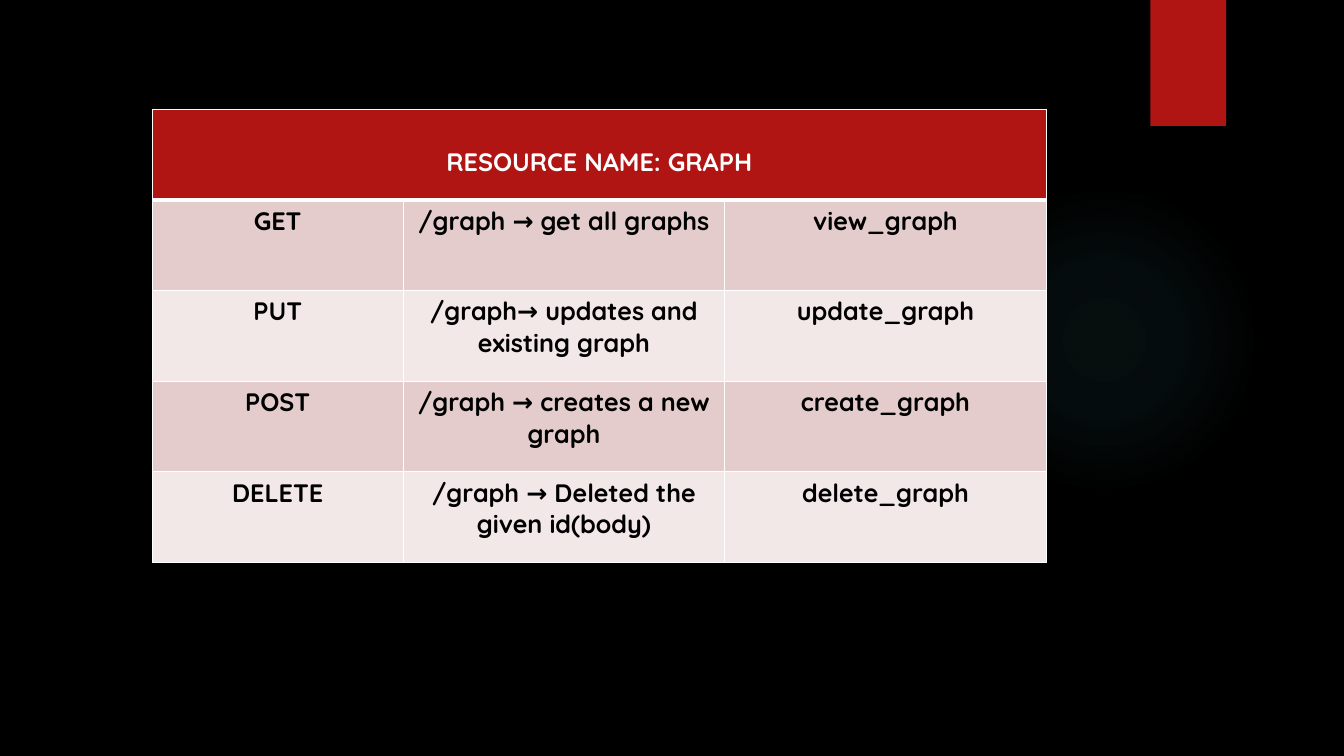
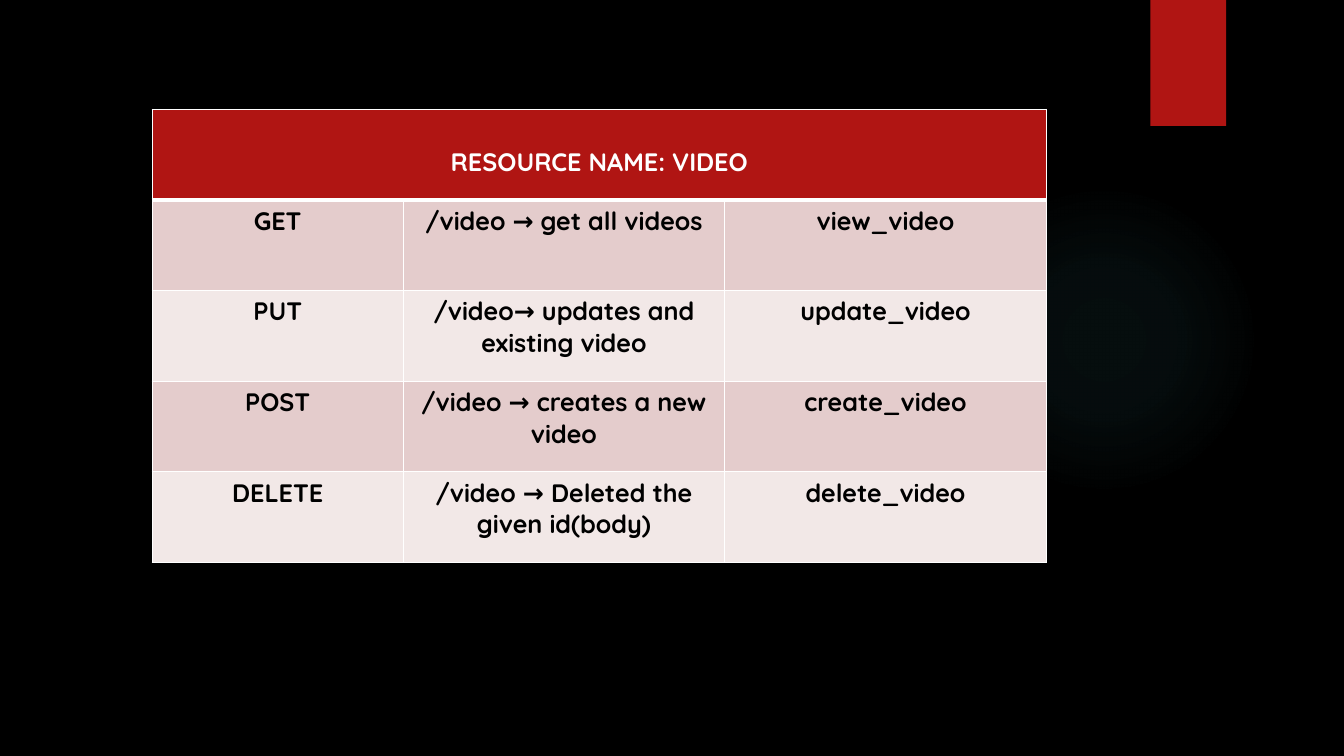
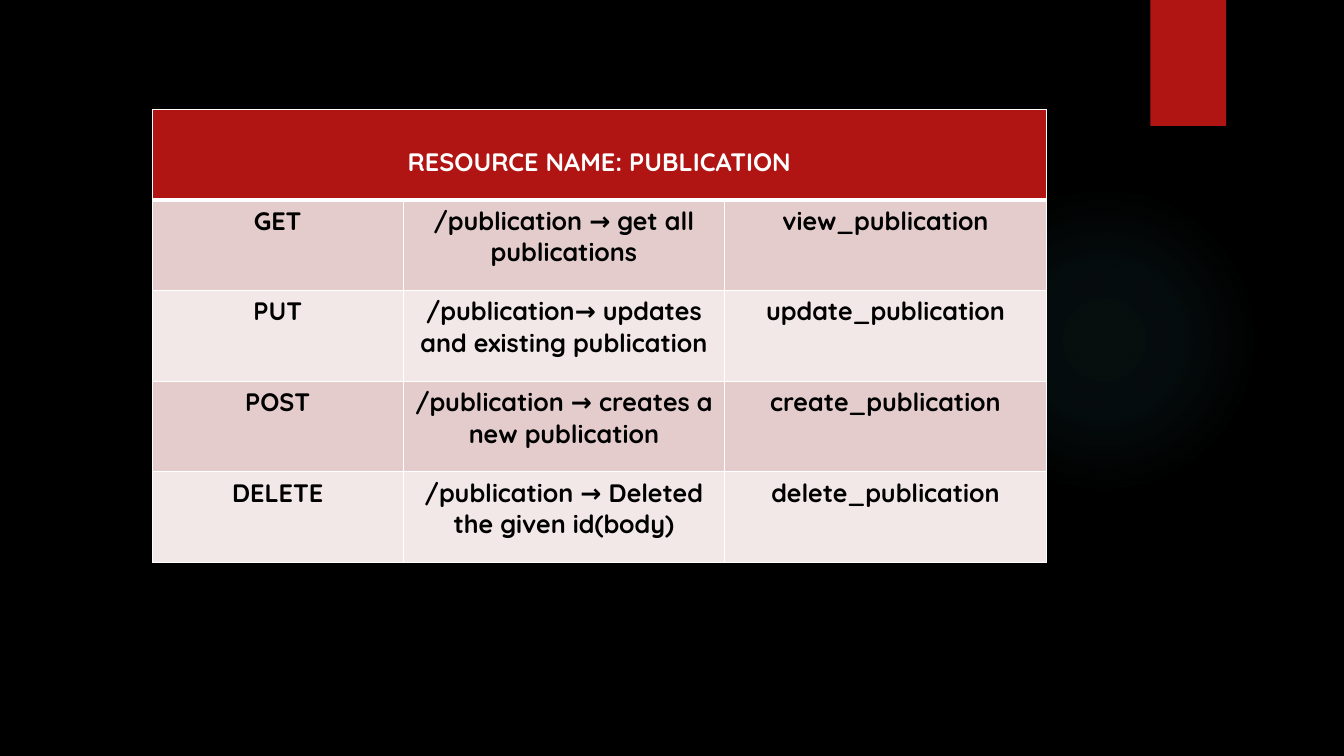
from pptx import Presentation
from pptx.dml.color import RGBColor
from pptx.enum.shapes import MSO_SHAPE
from pptx.enum.text import PP_ALIGN
from pptx.oxml import parse_xml
from pptx.oxml.ns import nsdecls
from pptx.util import Pt

RED = RGBColor(0xB0, 0x15, 0x13)
ROSE = RGBColor(0xE4, 0xCC, 0xCC)
PALE = RGBColor(0xF2, 0xE8, 0xE7)
TEAL = RGBColor(0x50, 0xB9, 0xC1)
WHITE = RGBColor(0xFF, 0xFF, 0xFF)
BLACK = RGBColor(0, 0, 0)

FONT = "Quicksand"
RECT, OVAL = MSO_SHAPE.RECTANGLE, MSO_SHAPE.OVAL
CENTER = PP_ALIGN.CENTER

COLS = (179.25, 229.7, 229.7)
ROW = 64.7
GLOW = ((0, 7), (36, 6), (69, 0))  # position and opacity, in percent

NAMES = ("graph", "video", "publication")
CALLS = (
    ("GET", "/{0} → get all {0}s", "view_{0}"),
    ("PUT", "/{0}→ updates and existing {0}", "update_{0}"),
    ("POST", "/{0} → creates a new {0}", "create_{0}"),
    ("DELETE", "/{0} → Deleted the given id(body)", "delete_{0}"),
)


def write(frame, text, size=18, color=BLACK, bold=True, align=CENTER):
    para = frame.paragraphs[0]
    para.alignment = align
    run = para.add_run()
    run.text = text
    font = run.font
    font.name, font.size, font.bold = FONT, Pt(size), bold
    font.color.rgb = color


def edge(cell, **widths):
    """Draw white borders; widths are keyed by side: L, R, T, B."""
    props = cell._tc.get_or_add_tcPr()
    for side, width in widths.items():
        props.append(parse_xml(
            f'<a:ln{side} {nsdecls("a")} w="{Pt(width)}"><a:solidFill>'
            f'<a:srgbClr val="{WHITE}"/></a:solidFill></a:ln{side}>'))


class Deck:
    def __init__(self):
        self.prs = Presentation()
        self.prs.slide_width, self.prs.slide_height = Pt(960), Pt(540)
        self.slide = None

    def page(self):
        """Start a slide with the shared backdrop."""
        self.slide = self.prs.slides.add_slide(self.prs.slide_layouts[6])
        fill = self.slide.background.fill
        fill.solid()
        fill.fore_color.rgb = BLACK
        self.glow(677.5, 131.75, 221.75)
        self.shape(RECT, 821.75, 0, 54, 90, RED)

    def shape(self, kind, x, y, w, h, color):
        shape = self.slide.shapes.add_shape(kind, Pt(x), Pt(y), Pt(w), Pt(h))
        shape.shadow.inherit = False
        shape.line.fill.background()
        shape.fill.solid()
        shape.fill.fore_color.rgb = color
        return shape

    def glow(self, x, y, size):
        """Add a disc that fades out from its centre."""
        disc = self.shape(OVAL, x, y, size, size, TEAL)
        stops = "".join(
            f'<a:gs pos="{pos * 1000}"><a:srgbClr val="{TEAL}">'
            f'<a:alpha val="{alpha * 1000}"/></a:srgbClr></a:gs>'
            for pos, alpha in GLOW)
        props = disc._element.spPr
        props.replace(props.find("{*}solidFill"), parse_xml(
            f'<a:gradFill {nsdecls("a")}><a:gsLst>{stops}</a:gsLst>'
            '<a:path path="circle"><a:fillToRect l="50000" t="50000" '
            'r="50000" b="50000"/></a:path></a:gradFill>'))

    def table(self, x, y, title, rows):
        count = len(rows) + 1
        grid = self.slide.shapes.add_table(
            count, len(COLS), Pt(x), Pt(y), Pt(sum(COLS)), Pt(ROW * count)).table
        grid.first_row = grid.horz_banding = False
        for col, width in zip(grid.columns, COLS):
            col.width = Pt(width)
        for r, row in enumerate(grid.rows):
            row.height = Pt(ROW)
            for cell in row.cells:
                edge(cell, L=1, R=1, T=3 if r == 1 else 1, B=1 if r else 3)
                cell.fill.solid()
                cell.fill.fore_color.rgb = (ROSE if r % 2 else PALE) if r else RED
        head = grid.cell(0, 0)
        head.merge(grid.cell(0, len(COLS) - 1))
        head.margin_top = Pt(26)
        write(head.text_frame, title, color=WHITE)
        for r, texts in enumerate(rows, 1):
            for c, text in enumerate(texts):
                write(grid.cell(r, c).text_frame, text)


def main():
    deck = Deck()
    for name in NAMES:
        deck.page()
        rows = [[text.format(name) for text in call] for call in CALLS]
        deck.table(108.75, 78.25, f"RESOURCE NAME: {name.upper()}", rows)
    deck.prs.save("out.pptx")


if __name__ == "__main__":
    main()
